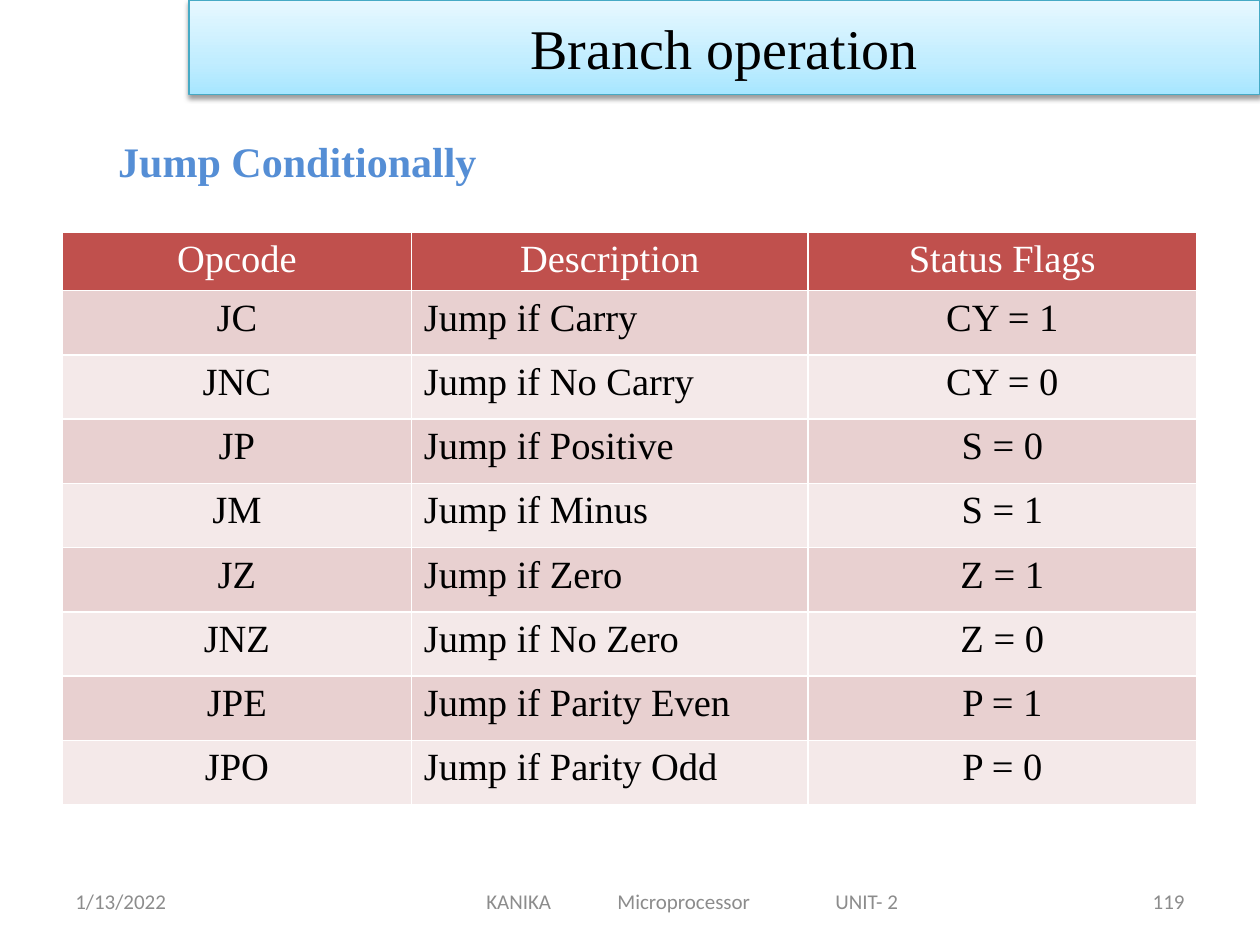
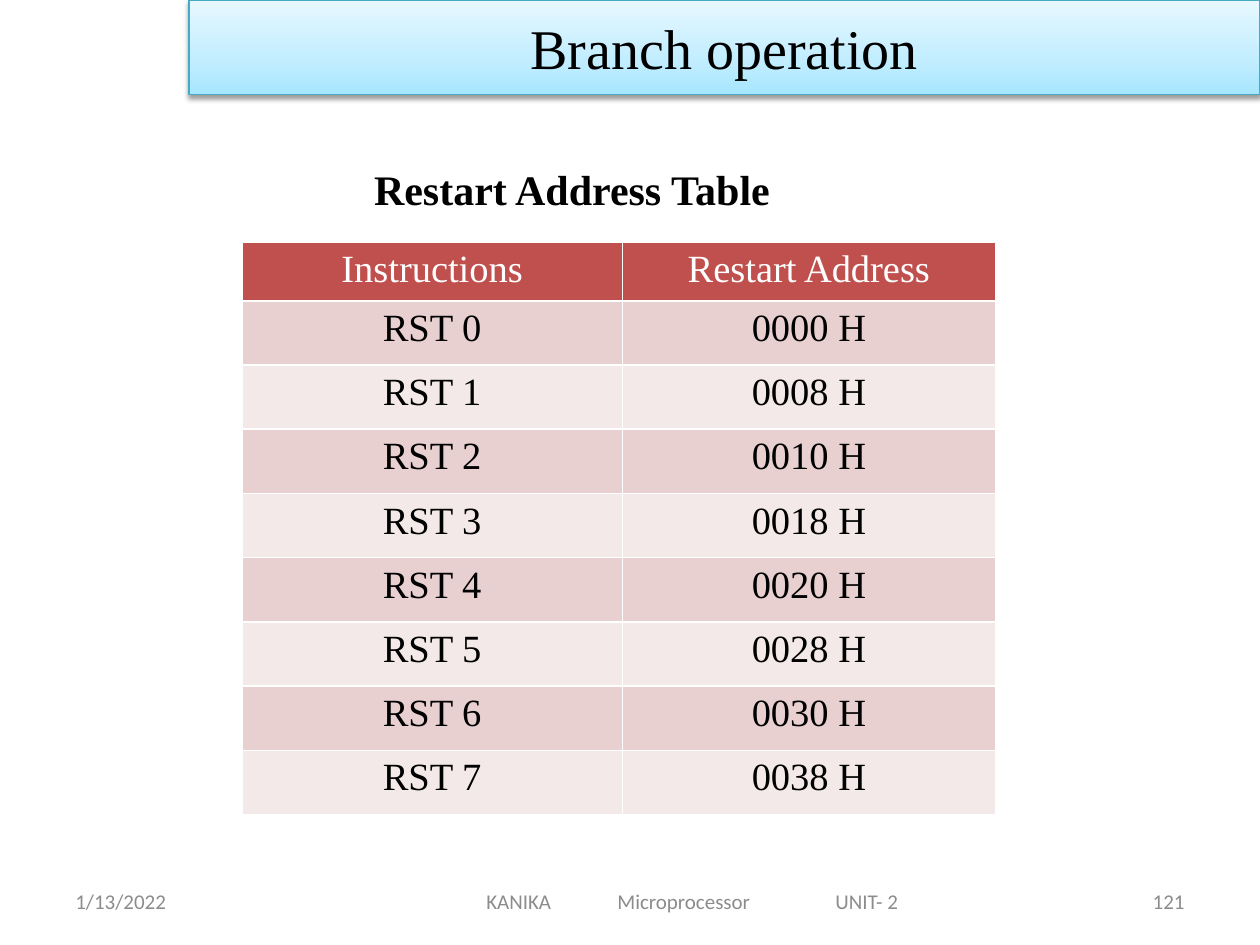
from dataclasses import dataclass

from pptx import Presentation
from pptx.dml.color import RGBColor
from pptx.enum.shapes import MSO_SHAPE
from pptx.enum.text import MSO_ANCHOR, PP_ALIGN
from pptx.oxml import parse_xml
from pptx.oxml.ns import nsdecls
from pptx.util import Inches, Pt

COLS, ROWS = 100, 75  # grid units across and down the slide
LEFT, MID, RIGHT = PP_ALIGN.LEFT, PP_ALIGN.CENTER, PP_ALIGN.RIGHT


@dataclass(frozen=True)
class Theme:
    serif: str = "Times New Roman"
    sans: str = "Calibri"
    black: str = "000000"
    white: str = "FFFFFF"
    blue: str = "558ED5"
    gray: str = "8C8C8C"
    edge: str = "46AAC5"
    head: str = "C0504D"
    bands: tuple = ("E8D0D0", "F4E9E9")
    stops: tuple = ((0, "A7E6FF"), (35, "C1EDFF"), (100, "E7F8FF"))
    title: int = 32
    label: int = 24
    cell: int = 22
    foot: int = 12


def color(code):
    return RGBColor.from_string(code)


def solid(code):
    return f'<a:solidFill><a:srgbClr val="{code}"/></a:solidFill>'


def write(frame, text, font, size, ink, align=LEFT, bold=False, tabs=()):
    para = frame.paragraphs[0]
    para.text = text
    para.alignment = align
    if tabs:
        stops = "".join(f'<a:tab pos="{Inches(t)}" algn="l"/>' for t in tabs)
        para._p.get_or_add_pPr().append(
            parse_xml(f"<a:tabLst {nsdecls('a')}>{stops}</a:tabLst>"))
    face = para.runs[0].font
    face.name, face.size, face.bold = font, Pt(size), bold
    face.color.rgb = color(ink)


class Deck:
    def __init__(self, theme):
        self.theme = theme
        self.prs = Presentation()
        self.prs.slide_width, self.prs.slide_height = Inches(10), Inches(7.5)
        self.slide = None

    def place(self, left, top, wide, high):
        across = self.prs.slide_width / COLS
        down = self.prs.slide_height / ROWS
        return [round(n) for n in
                (left * across, top * down, wide * across, high * down)]

    def page(self, title, number):
        self.slide = self.prs.slides.add_slide(self.prs.slide_layouts[6])
        self.footer(number)
        self.band(title)

    def text(self, spot, text, wrap=True, anchor=MSO_ANCHOR.TOP, inset=0.1,
             **style):
        frame = self.slide.shapes.add_textbox(*self.place(*spot)).text_frame
        frame.word_wrap = wrap
        frame.vertical_anchor = anchor
        frame.margin_left = Inches(inset)
        write(frame, text, **style)

    def label(self, spot, text, ink):
        self.text(spot, text, wrap=False, font=self.theme.serif,
                  size=self.theme.label, ink=ink, bold=True)

    def footer(self, number):
        look = dict(anchor=MSO_ANCHOR.MIDDLE, font=self.theme.sans,
                    size=self.theme.foot, ink=self.theme.gray)
        top, high = 69.5, 4
        self.text((5, top, 23.3, high), "1/13/2022", **look)
        self.text((27.5, top, 55, high), "KANIKA\tMicroprocessor\tUNIT- 2",
                  inset=1.11, tabs=(1.04, 2.77), **look)
        self.text((71.7, top, 23.3, high), str(number), align=RIGHT, **look)

    def band(self, title):
        theme = self.theme
        bar = self.slide.shapes.add_shape(MSO_SHAPE.RECTANGLE,
                                          *self.place(15, 0, 85, 7.5))
        bar.line.color.rgb = color(theme.edge)
        bar.line.width = Pt(0.75)
        # Gradient running upward, with a soft shadow below
        stops = "".join(
            f'<a:gs pos="{at * 1000}"><a:srgbClr val="{code}"/></a:gs>'
            for at, code in theme.stops)
        props = bar._element.spPr
        props.insert(2, parse_xml(
            f"<a:gradFill {nsdecls('a')}><a:gsLst>{stops}</a:gsLst>"
            '<a:lin ang="16200000" scaled="0"/></a:gradFill>'))
        props.append(parse_xml(
            f"<a:effectLst {nsdecls('a')}><a:outerShdw blurRad=\"{Pt(3.1)}\" "
            f'dist="{Pt(1.6)}" dir="5400000" rotWithShape="0">'
            f'<a:srgbClr val="{theme.black}"><a:alpha val="38000"/></a:srgbClr>'
            "</a:outerShdw></a:effectLst>"))
        bar.text_frame.vertical_anchor = MSO_ANCHOR.MIDDLE
        write(bar.text_frame, title, theme.serif, theme.title, theme.black, MID)

    def cell(self, box, text, fill, ink, align):
        box.fill.solid()
        box.fill.fore_color.rgb = color(fill)
        props = box._tc.get_or_add_tcPr()
        for spot, side in enumerate("LRTB"):
            props.insert(spot, parse_xml(
                f"<a:ln{side} {nsdecls('a')} w=\"{Pt(1)}\">"
                f"{solid(self.theme.white)}</a:ln{side}>"))
        write(box.text_frame, text, self.theme.serif, self.theme.cell, ink, align)

    def table(self, left, top, wides, rows, aligns, first):
        theme, step = self.theme, 5.1
        highs = [first] + [step] * (len(rows) - 1)
        spot = self.place(left, top, sum(wides), sum(highs))
        grid = self.slide.shapes.add_table(len(rows), len(wides), *spot).table
        grid.horz_banding = False
        for col, wide in zip(grid.columns, wides):
            col.width = self.place(0, 0, wide, 0)[2]
        for r, (row, high) in enumerate(zip(rows, highs)):
            grid.rows[r].height = self.place(0, 0, 0, high)[3]
            fill = theme.bands[(r - 1) % 2] if r else theme.head
            ink = theme.black if r else theme.white
            for c, text in enumerate(row):
                self.cell(grid.cell(r, c), text, fill, ink,
                          aligns[c] if r else MID)


JUMPS = [
    ("Opcode", "Description", "Status Flags"),
    ("JC", "Jump if Carry", "CY = 1"),
    ("JNC", "Jump if No Carry", "CY = 0"),
    ("JP", "Jump if Positive", "S = 0"),
    ("JM", "Jump if Minus", "S = 1"),
    ("JZ", "Jump if Zero", "Z = 1"),
    ("JNZ", "Jump if No Zero", "Z = 0"),
    ("JPE", "Jump if Parity Even", "P = 1"),
    ("JPO", "Jump if Parity Odd", "P = 0"),
]
# Each restart address lies eight bytes after the last
RESTARTS = [("Instructions", "Restart Address")] + [
    (f"RST {n}", f"{8 * n:04X} H") for n in range(8)]


def main():
    theme = Theme()
    deck = Deck(theme)

    # Conditional jumps
    deck.page("Branch operation", 119)
    deck.label((8.4, 10.3, 30.7, 5.1), "Jump Conditionally", theme.blue)
    deck.table(4.95, 18.4, (27.7, 31.5, 30.8), JUMPS, (MID, LEFT, MID), 4.6)

    # Restart addresses
    deck.page("Branch operation", 121)
    deck.table(19.2, 19.2, (30.2, 29.6), RESTARTS, (MID, MID), 4.3)
    deck.label((28.7, 12.5, 33.8, 5.1), "Restart Address Table", theme.black)

    deck.prs.save("out.pptx")


if __name__ == "__main__":
    main()
